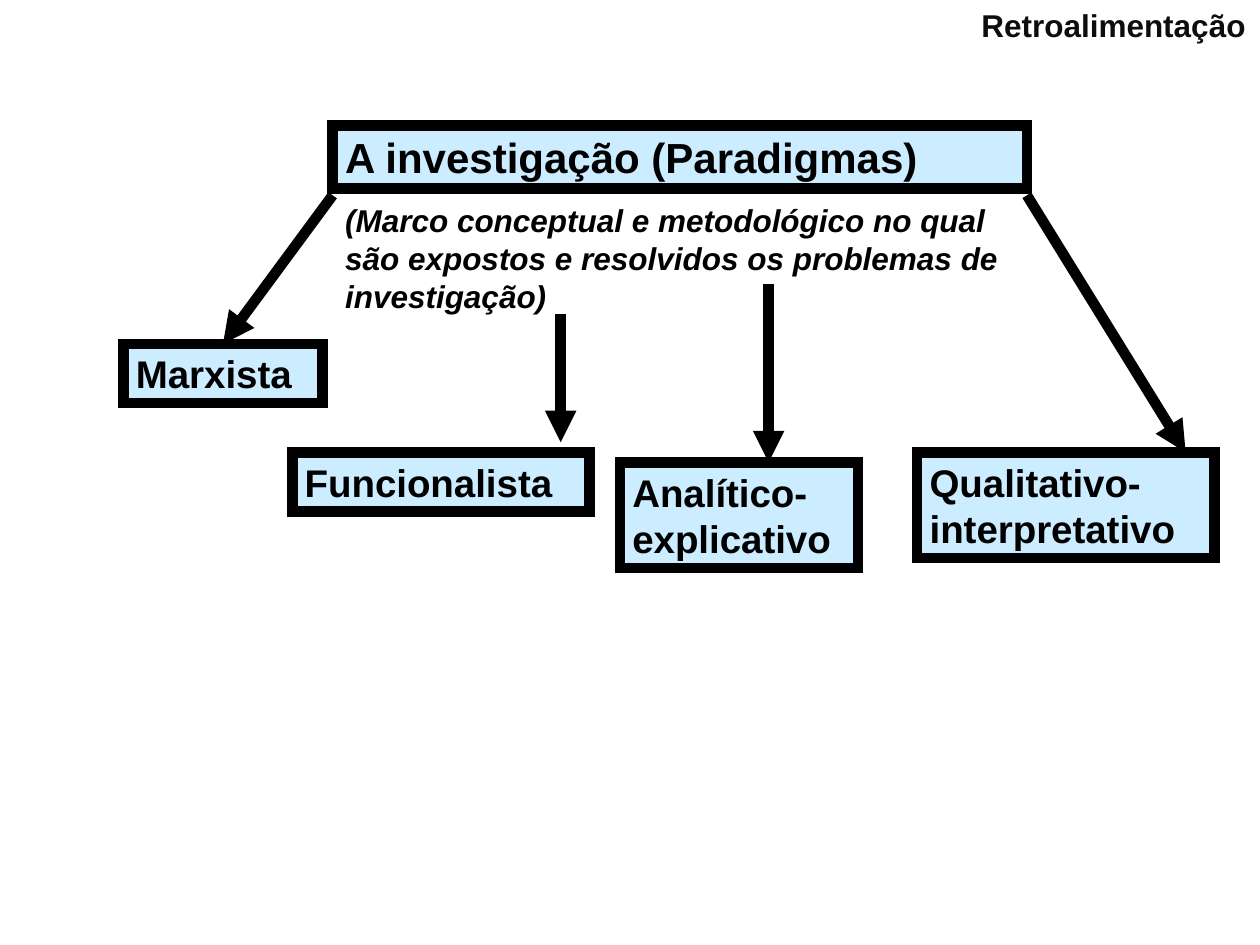
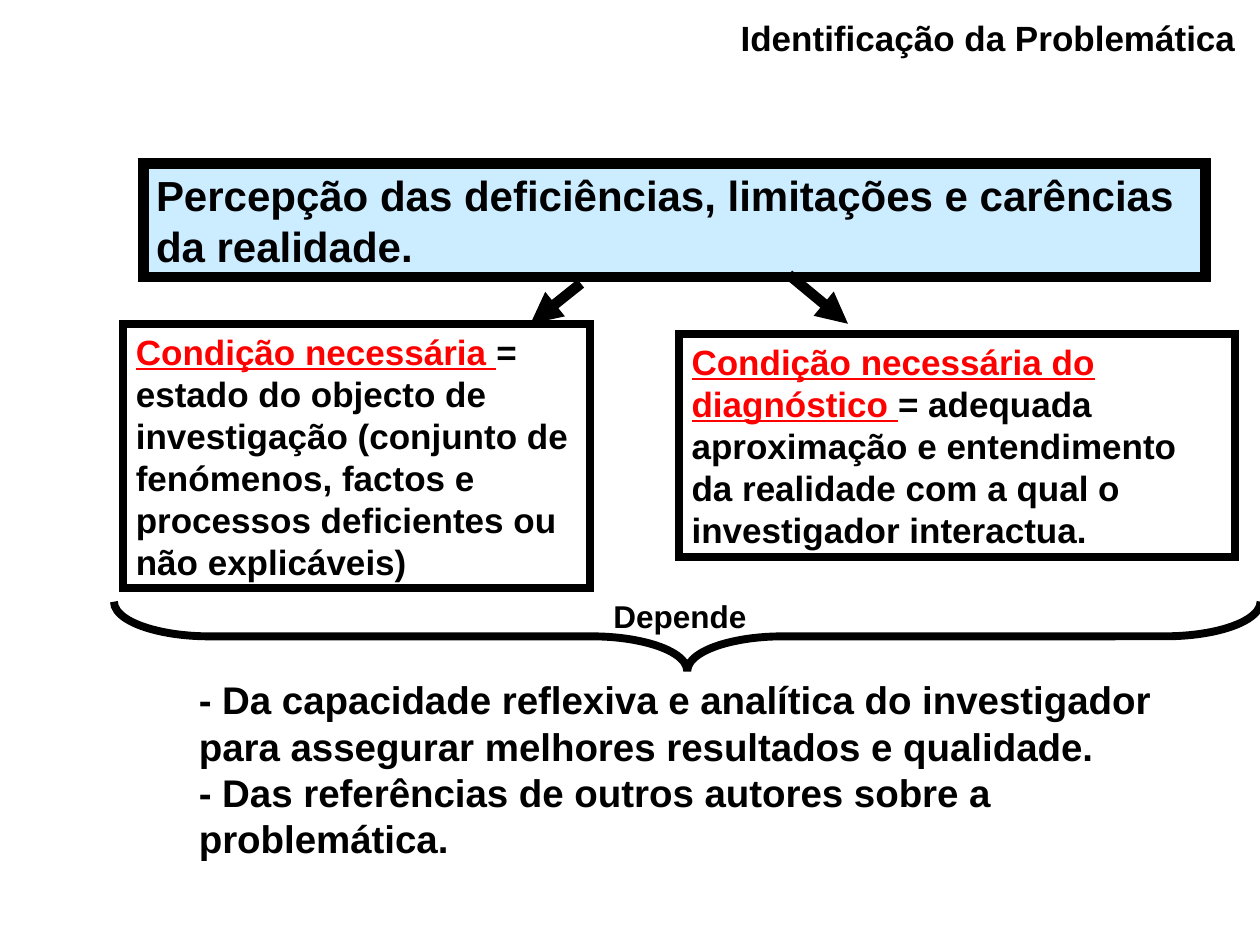
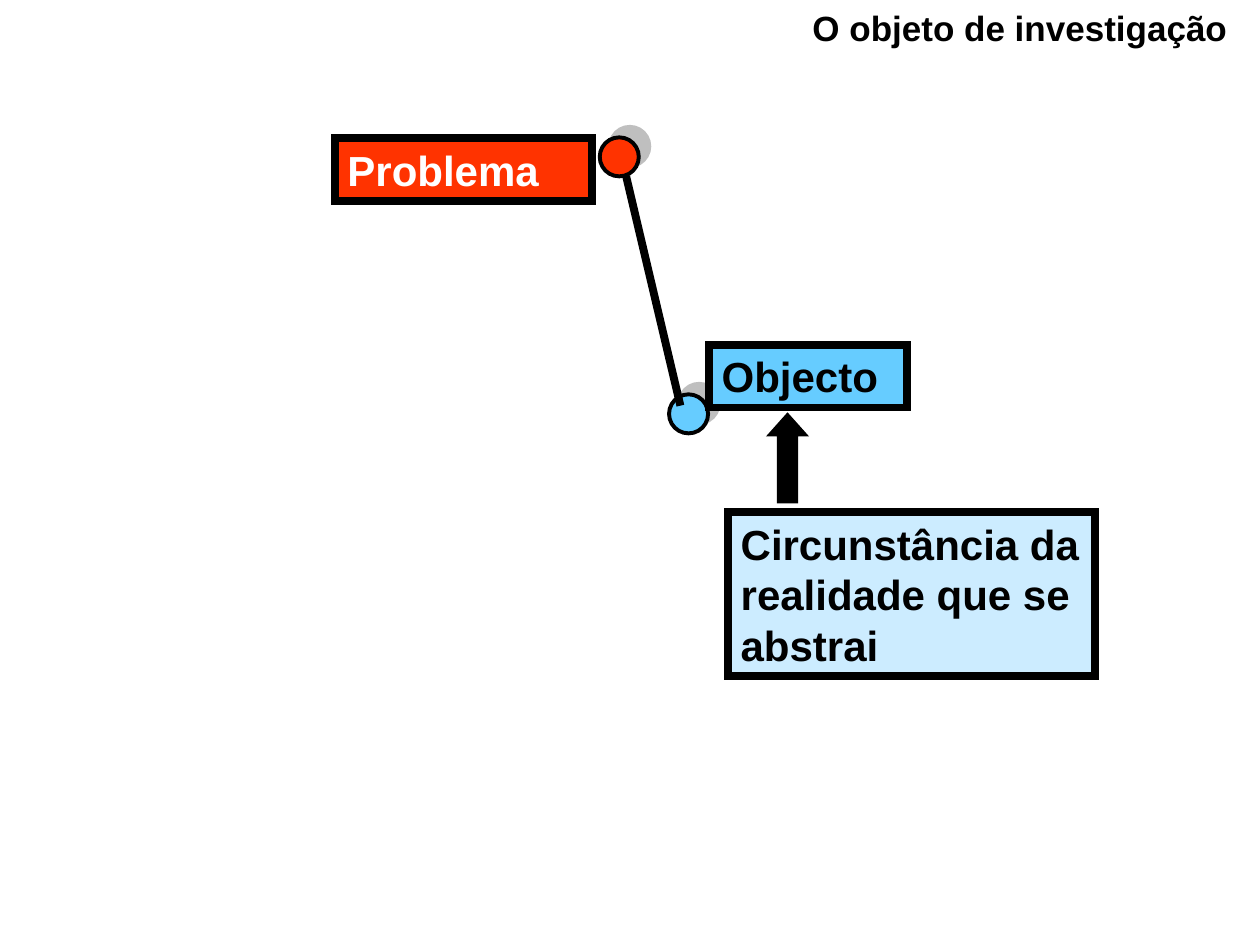
from lxml.etree import SubElement
from pptx import Presentation
from pptx.dml.color import RGBColor
from pptx.enum.shapes import MSO_CONNECTOR, MSO_SHAPE
from pptx.enum.text import MSO_ANCHOR, PP_ALIGN
from pptx.oxml.ns import qn
from pptx.util import Inches, Pt

# Shared look: a grid of 100 columns by 75 rows
CELL = Inches(0.1)
FONT = "Arial"
BLACK, WHITE, RED = "000000", "FFFFFF", "FF0000"
PALE, SKY, ORANGE = "CCECFF", "66CCFF", "FF3300"
THICK, MEDIUM = 6, 4.5

deck = Presentation()
deck.slide_width, deck.slide_height = 100 * CELL, 75 * CELL


def add_block(slide, place, text="", size=24, fill=None, border=None, color=BLACK,
              lead="", italic=False, preset=MSO_SHAPE.RECTANGLE):
    """Add a preset shape, or a plain text box when it has no fill and no border."""
    place = [int(cells * CELL) for cells in place]
    if fill or border:
        block = slide.shapes.add_shape(preset, *place)
        block.shadow.inherit = False
        if fill:
            block.fill.solid()
            block.fill.fore_color.rgb = RGBColor.from_string(fill)
        else:
            block.fill.background()
        block.line.color.rgb = RGBColor.from_string(BLACK)
        block.line.width = Pt(border)
        # Square corners on the border
        SubElement(block._element.spPr.find(qn("a:ln")), qn("a:miter"), lim="800000")
    else:
        block = slide.shapes.add_textbox(*place)
    if not text:
        return block
    frame = block.text_frame
    frame.word_wrap = True
    frame.vertical_anchor = MSO_ANCHOR.TOP
    for index, line in enumerate(text.split("\n")):
        paragraph = frame.paragraphs[0] if index == 0 else frame.add_paragraph()
        paragraph.alignment = PP_ALIGN.LEFT
        font = paragraph.font
        font.name, font.size, font.bold, font.italic = FONT, Pt(size), True, italic
        font.color.rgb = RGBColor.from_string(color)
        if lead:
            term = paragraph.add_run()
            term.text = lead
            term.font.underline = True
            term.font.color.rgb = RGBColor.from_string(RED)
        paragraph.add_run().text = line
    return block


def add_line(slide, ends, width=THICK, arrow=True):
    line = slide.shapes.add_connector(
        MSO_CONNECTOR.STRAIGHT, *[int(cells * CELL) for cells in ends])
    line.line.color.rgb = RGBColor.from_string(BLACK)
    line.line.width = Pt(width)
    if arrow:
        SubElement(line._element.spPr.find(qn("a:ln")), qn("a:tailEnd"), type="triangle")
    SubElement(line._element.spPr, qn("a:effectLst"))


paradigms, problematic, research_object = [
    deck.slides.add_slide(deck.slide_layouts[6]) for _ in range(3)]

# Slide titles
for slide, place, title, size, color in [
    (paradigms, (76.9, 0, 23.1, 4), "Retroalimentação", 18, "0D0D0D"),
    (problematic, (57.8, 0.8, 42, 4.4), "Identificação da Problemática", 20, BLACK),
    (research_object, (63.5, 0, 36, 4.4), "O objeto de investigação", 20, BLACK),
]:
    add_block(slide, place, title, size, color=color)

# Slide 1: research and its paradigms
add_block(paradigms, (26.4, 9.95, 55.1, 5), "A investigação (Paradigmas)",
          fill=PALE, border=THICK)
add_block(paradigms, (26.4, 15.5, 55.9, 10),
          "(Marco conceptual e metodológico no qual são expostos e resolvidos "
          "os problemas de investigação)", 18, italic=True)
for place, paradigm, arrow_ends in [
    ((9.8, 27.3, 15.8, 4.7), "Marxista", (26.4, 15.5, 17.7, 27.3)),
    ((23.2, 35.9, 23.6, 4.7), "Funcionalista", (44.5, 24.9, 44.5, 35.1)),
    ((49.2, 36.7, 18.9, 8.4), "Analítico-explicativo", (61, 22.5, 61, 36.7)),
    ((72.8, 35.9, 23.6, 8.4), "Qualitativo-interpretativo", (81.5, 15.5, 94.1, 35.9)),
]:
    add_block(paradigms, place, paradigm, 22, fill=PALE, border=THICK)
    add_line(paradigms, arrow_ends)

# Slide 2: perception and its two conditions
add_block(problematic, (11.4, 13, 84.3, 9),
          "Percepção das deficiências, limitações e carências da realidade.",
          fill=PALE, border=THICK)
for place, term, meaning, arrow_ends in [
    ((9.8, 25.7, 37, 21), "Condição necessária ",
     "= estado do objecto de investigação (conjunto de fenómenos, factos e "
     "processos deficientes ou não explicáveis)", (46.1, 22.5, 42.1, 25.7)),
    ((53.9, 26.5, 44.1, 17.7), "Condição necessária do diagnóstico ",
     "= adequada aproximação e entendimento da realidade com a qual o "
     "investigador interactua.", (62.6, 21.8, 67.3, 25.7)),
]:
    add_block(problematic, place, meaning, 20, border=MEDIUM, lead=term)
    add_line(problematic, arrow_ends)

# What both conditions depend on, under a brace turned to point down
brace = add_block(problematic, (51.8, 5, 5.5, 91), border=MEDIUM,
                  preset=MSO_SHAPE.LEFT_BRACE)
brace.rotation = 270
brace.adjustments[0] = 1.38
add_block(problematic, (47.7, 46.9, 14, 4), "Depende", 18)
add_block(problematic, (14.8, 53.2, 80, 15.7),
          "- Da capacidade reflexiva e analítica do investigador para assegurar "
          "melhores resultados e qualidade.\n"
          "- Das referências de outros autores sobre a problemática.", 22)

# Slide 3: from problem to object, each with a shadowed node
for node_place, label_place, label, fill, color in [
    ((47.6, 10.9, 3.1, 3.1), (26.6, 10.95, 20.4, 5), "Problema", ORANGE, WHITE),
    ((53.1, 31.3, 3.1, 3.1), (56.3, 27.35, 15.7, 5), "Objecto", SKY, BLACK),
]:
    node = add_block(research_object, node_place, fill=fill, border=2.25,
                     preset=MSO_SHAPE.OVAL)
    effects = node._element.spPr.find(qn("a:effectLst"))
    shadow = SubElement(effects, qn("a:outerShdw"), dist=str(Pt(8.5)),
                        dir=str(315 * 60000), algn="ctr", rotWithShape="0")
    tint = SubElement(shadow, qn("a:srgbClr"), val="808080")
    SubElement(tint, qn("a:alpha"), val="50000")
    add_block(research_object, label_place, label, fill=fill, border=MEDIUM, color=color)
add_line(research_object, (49.7, 14, 54, 32.2), MEDIUM, arrow=False)

# Definition of the object
add_block(research_object, (57.8, 40.65, 29.1, 13),
          "Circunstância da realidade que se abstrai", fill=PALE, border=MEDIUM)
pointer = add_block(research_object, (60.9, 32.8, 3.2, 7.1), fill=BLACK, border=0.75,
                    preset=MSO_SHAPE.UP_ARROW)
pointer.adjustments[0], pointer.adjustments[1] = 0.5, 0.56

deck.save("out.pptx")
